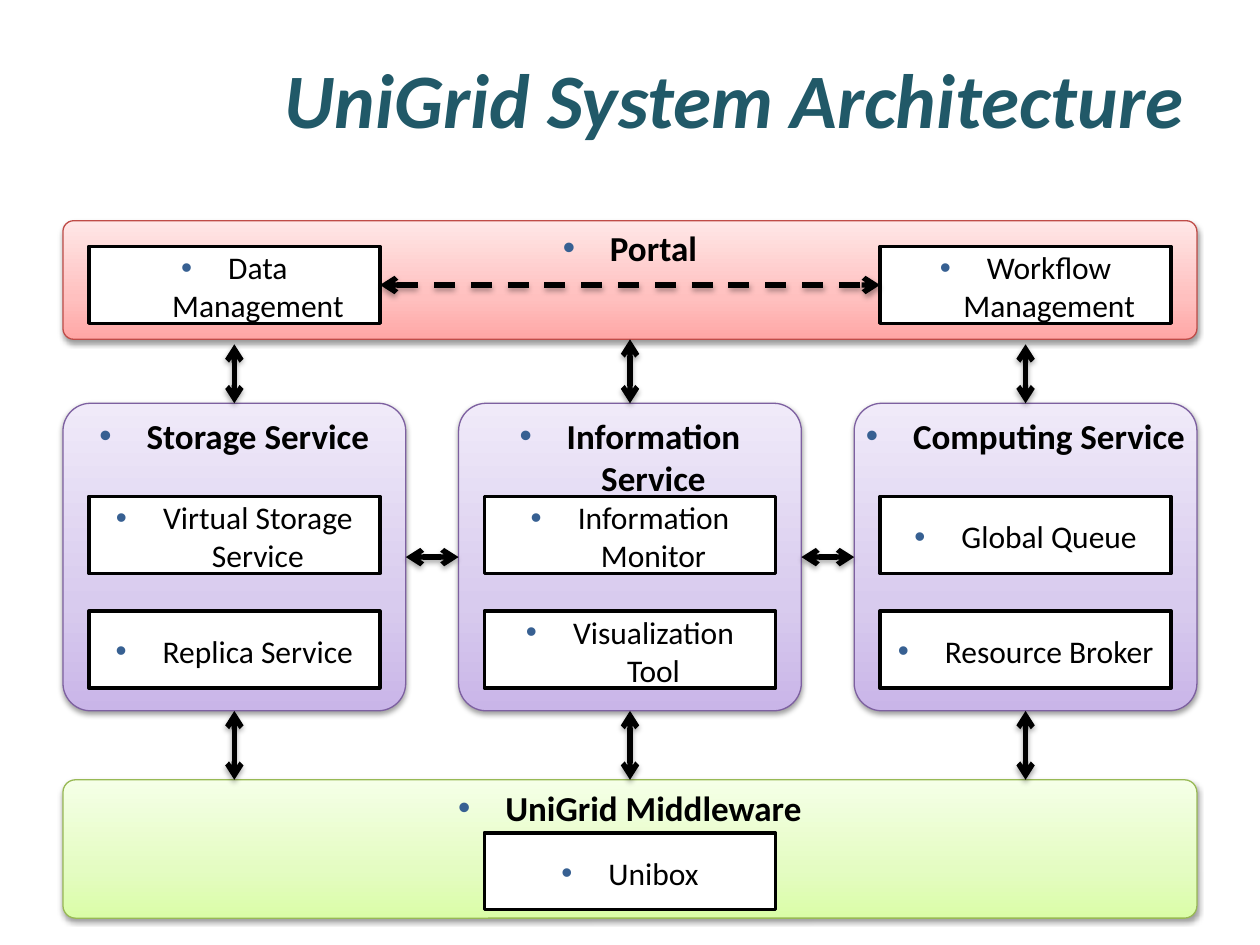
from dataclasses import dataclass
from copy import deepcopy
from lxml.etree import SubElement
from pptx import Presentation
from pptx.dml.color import RGBColor
from pptx.enum.dml import MSO_LINE
from pptx.enum.shapes import MSO_CONNECTOR, MSO_SHAPE
from pptx.enum.text import MSO_ANCHOR, PP_ALIGN
from pptx.oxml.ns import qn
from pptx.util import Cm, Pt


@dataclass(frozen=True)
class Theme:
    font: str = "Calibri"
    title_size: int = 44
    label_size: int = 20
    box_size: int = 18
    title: str = "215968"
    ink: str = "000000"
    paper: str = "FFFFFF"
    bullet: str = "376092"
    red: tuple = ("BF4C48", "FFA6A5", "FFC0BF", "FFE7E7")
    purple: tuple = ("7D60A0", "C9B5E8", "D8CBEE", "F0EAF9")
    green: tuple = ("98B955", "DAFDA7", "E4FCC2", "F5FFE7")


T = Theme()
BOX_W, BOX_H = 5.87, 1.55
LEFT, WIDTH = 1.27, 22.86
COL_W = 6.91
COL_STEP = (WIDTH - COL_W) / 2
PORTAL_Y, PORTAL_H = 4.45, 2.39
SERVICE_Y, SERVICE_H = 8.13, 6.2
MIDDLE_Y, MIDDLE_H = 15.72, 2.79
SERVICES = [
    ("Storage Service", ["Virtual Storage Service", "Replica Service"]),
    ("Information Service", ["Information Monitor", "Visualization Tool"]),
    ("Computing Service", ["Global Queue", "Resource Broker"]),
]


def rgb(value):
    return RGBColor.from_string(value)


def add_run(p, text, size, color, bold=False, italic=False):
    r = p.add_run()
    r.text = text
    f = r.font
    f.name, f.size, f.bold, f.italic = T.font, Pt(size), bold, italic
    f.color.rgb = rgb(color)


def add_bullet(p):
    pPr = p._p.get_or_add_pPr()
    pPr.set("marL", str(Cm(0.95)))
    pPr.set("indent", str(-Cm(0.95)))
    clr = SubElement(pPr, qn("a:buClr"))
    SubElement(clr, qn("a:srgbClr"), val=T.bullet)
    SubElement(pPr, qn("a:buFont"), typeface="Arial")
    SubElement(pPr, qn("a:buChar"), char="•")


def add_text(s, text, size, anchor, insets, bold=False):
    tf = s.text_frame
    tf.word_wrap = True
    tf.vertical_anchor = anchor
    tf.margin_left, tf.margin_top, tf.margin_right, tf.margin_bottom = map(Cm, insets)
    p = tf.paragraphs[0]
    p.alignment = PP_ALIGN.CENTER
    add_bullet(p)
    for i, line in enumerate(text.split("\n")):
        if i:
            p.add_line_break()
        add_run(p, line, size, T.ink, bold)


def add_shadow(effects, alpha, dist):
    shadow = SubElement(effects, qn("a:outerShdw"), blurRad=str(Pt(3.1)),
                        dist=str(Pt(dist)), dir="5400000", rotWithShape="0")
    clr = SubElement(shadow, qn("a:srgbClr"), val=T.ink)
    SubElement(clr, qn("a:alpha"), val=str(alpha * 1000))


def fill_gradient(s, colors):
    s.fill.gradient()
    s.fill.gradient_angle = 90
    stops = s._element.spPr.find(qn("a:gradFill")).find(qn("a:gsLst"))
    stops.append(deepcopy(stops[-1]))
    for stop, color, pos in zip(s.fill.gradient_stops, colors, (0, 0.35, 1)):
        stop.color.rgb = rgb(color)
        stop.position = pos


def add_panel(sl, x, y, w, h, label, palette):
    s = sl.shapes.add_shape(MSO_SHAPE.ROUNDED_RECTANGLE, Cm(x), Cm(y), Cm(w), Cm(h))
    s.adjustments[0] = 0.09
    fill_gradient(s, palette[1:])
    s.line.color.rgb = rgb(palette[0])
    s.line.width = Pt(0.75)
    s.shadow.inherit = False
    add_shadow(s._element.spPr.find(qn("a:effectLst")), 38, 1.6)
    add_text(s, label, T.label_size, MSO_ANCHOR.TOP, (0, 0.06, 0, 0), True)


def add_box(sl, x, y, text):
    s = sl.shapes.add_shape(MSO_SHAPE.RECTANGLE, Cm(x), Cm(y), Cm(BOX_W), Cm(BOX_H))
    s.fill.solid()
    s.fill.fore_color.rgb = rgb(T.paper)
    s.line.color.rgb = rgb(T.ink)
    s.line.width = Pt(2)
    s.shadow.inherit = False
    add_text(s, text, T.box_size, MSO_ANCHOR.MIDDLE, (0.25, 0.13, 0.25, 0.08))


def add_arrow(sl, x1, y1, x2, y2, dashed=False):
    c = sl.shapes.add_connector(MSO_CONNECTOR.STRAIGHT, Cm(x1), Cm(y1), Cm(x2), Cm(y2))
    c.line.color.rgb = rgb(T.ink)
    c.line.width = Pt(3)
    if dashed:
        c.line.dash_style = MSO_LINE.DASH
    ln = c.line._get_or_add_ln()
    for end in ("a:headEnd", "a:tailEnd"):
        SubElement(ln, qn(end), type="arrow")
    add_shadow(SubElement(c._element.spPr, qn("a:effectLst")), 35, 1.8)


def add_title(sl, x, y, w, h):
    s = sl.shapes.title
    s.left, s.top, s.width, s.height = Cm(x), Cm(y), Cm(w), Cm(h)
    tf = s.text_frame
    tf.vertical_anchor = MSO_ANCHOR.MIDDLE
    p = tf.paragraphs[0]
    p.alignment = PP_ALIGN.RIGHT
    add_run(p, "UniGrid System Architecture", T.title_size, T.title, True, True)


def add_portal(sl, x, y, w, h):
    add_panel(sl, x, y, w, h, "Portal", T.red)
    pad = (COL_W - BOX_W) / 2
    left, right = x + pad, x + w - pad - BOX_W
    add_box(sl, left, y + pad, "Data Management")
    add_box(sl, right, y + pad, "Workflow\nManagement")
    mid = y + pad + BOX_H / 2
    add_arrow(sl, left + BOX_W, mid, right, mid, dashed=True)


def add_service(sl, x, y, w, h, label, parts):
    add_panel(sl, x, y, w, h, label, T.purple)
    for i, part in enumerate(parts):
        add_box(sl, x + (w - BOX_W) / 2, y + 1.88 + i * 2.31, part)


def add_middleware(sl, x, y, w, h):
    add_panel(sl, x, y, w, h, "UniGrid Middleware", T.green)
    add_box(sl, x + (w - BOX_W) / 2, y + 1.07, "Unibox")


def add_links(sl, x):
    mid = SERVICE_Y + SERVICE_H / 2
    for i in range(3):
        left = x + i * COL_STEP
        center = left + COL_W / 2
        gap = 0 if i == 1 else 0.1
        add_arrow(sl, center, SERVICE_Y, center, PORTAL_Y + PORTAL_H + gap)
        add_arrow(sl, center, SERVICE_Y + SERVICE_H, center, MIDDLE_Y)
        if i < 2:
            add_arrow(sl, left + COL_W, mid, left + COL_STEP, mid)


def main():
    prs = Presentation()
    prs.slide_width, prs.slide_height = Cm(25.4), Cm(19.05)
    sl = prs.slides.add_slide(prs.slide_layouts[5])
    add_title(sl, LEFT, 0.76, WIDTH, 2.41)
    add_portal(sl, LEFT, PORTAL_Y, WIDTH, PORTAL_H)
    for i, (label, parts) in enumerate(SERVICES):
        add_service(sl, LEFT + i * COL_STEP, SERVICE_Y, COL_W, SERVICE_H, label, parts)
    add_middleware(sl, LEFT, MIDDLE_Y, WIDTH, MIDDLE_H)
    add_links(sl, LEFT)
    prs.save("out.pptx")


if __name__ == "__main__":
    main()
